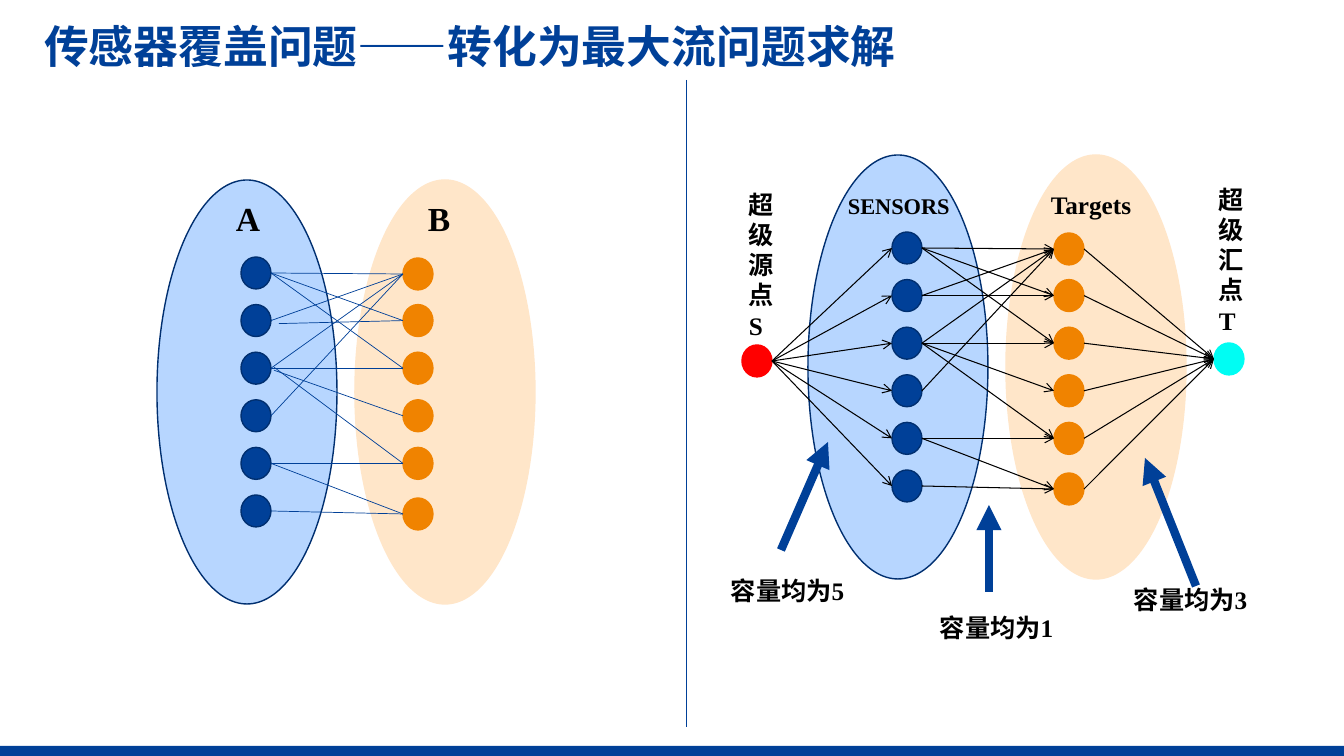
from lxml.etree import SubElement
from pptx import Presentation
from pptx.dml.color import RGBColor
from pptx.enum.shapes import MSO_CONNECTOR, MSO_SHAPE
from pptx.enum.text import MSO_ANCHOR, MSO_AUTO_SIZE, PP_ALIGN
from pptx.oxml.ns import qn
from pptx.util import Pt

PX = 914400 / 100.8
THEME = {
    "blue": "004098", "navy": "002F70", "pale_blue": "B7D6FF",
    "orange": "F08300", "pale_orange": "FFE6C9",
    "red": "FF0000", "cyan": "00FDF3", "black": "000000",
    "title_font": "Noto Sans CJK SC", "label_font": "Times New Roman",
    "title": 32, "set_name": 24, "label": 18, "sensors": 16,
}


def px(*lengths):
    return [round(length * PX) for length in lengths]


def color(name):
    return RGBColor.from_string(THEME[name])


presentation = Presentation()
presentation.slide_width, presentation.slide_height = px(1344, 756)
slide = presentation.slides.add_slide(presentation.slide_layouts[5])

title = slide.shapes.title
title.left, title.top, title.width, title.height = px(34, 17, 1269, 64)
title.text_frame.text = "传感器覆盖问题——转化为最大流问题求解"
title.text_frame.vertical_anchor = MSO_ANCHOR.MIDDLE
title.text_frame.auto_size = MSO_AUTO_SIZE.NONE
title_paragraph = title.text_frame.paragraphs[0]
title_paragraph.alignment = PP_ALIGN.LEFT
title_paragraph.line_spacing = 0.9
title_font = title_paragraph.runs[0].font
title_font.name, title_font.size, title_font.bold = THEME["title_font"], Pt(THEME["title"]), True
title_font.color.rgb = color("blue")

# Both diagrams share one layout, shifted by their origin
NODE_W, NODE_H, PITCH = 30, 32, 47.6
LEFT_GRAPH, RIGHT_GRAPH = (157, 180), (808, 155)
SENSOR_X, TARGET_X = 84, 246
sensor_tops = [77 + PITCH * row for row in range(6)]
target_tops = [top + shift for top, shift in zip(sensor_tops, (1, 0, 0, 0, 0, 3))]
EDGES = [(0, 0), (1, 0), (2, 0), (3, 0), (0, 1), (1, 1), (0, 2),
         (2, 2), (2, 3), (2, 4), (4, 4), (4, 5), (5, 5)]
LEFT_NUDGES = {(1, 1): (8, 3), (2, 3): (3, 2), (2, 4): (3, -1)}
SOURCE, SINK = (742, 345), (1214, 343)

# Shapes: kind, left, top, width, height, fill, outline
shapes = [(MSO_SHAPE.RECTANGLE, 0, 746, 1344, 10, "blue", "blue")]
# Lines: start x, start y, end x, end y, colour, points, arrowhead
lines = [(686, 80, 686, 727, "blue", 0.5, None)]

for x, y in (LEFT_GRAPH, RIGHT_GRAPH):
    shapes.append((MSO_SHAPE.OVAL, x + 198, y, 180, 424, "pale_orange", "pale_orange"))
    shapes.append((MSO_SHAPE.OVAL, x, y, 180, 424, "pale_blue", "navy"))
    for column_x, tops, fill, outline in ((SENSOR_X, sensor_tops, "blue", "navy"),
                                          (TARGET_X, target_tops, "orange", "orange")):
        for top in tops:
            shapes.append((MSO_SHAPE.OVAL, x + column_x, y + top, NODE_W, NODE_H, fill, outline))

    is_flow = (x, y) == RIGHT_GRAPH
    style = ("black", 0.75, "arrow") if is_flow else ("blue", 0.5, None)
    for sensor, target in EDGES:
        nudge_x, nudge_y = (0, 0) if is_flow else LEFT_NUDGES.get((sensor, target), (0, 0))
        lines.append((x + SENSOR_X + NODE_W + nudge_x,
                      y + sensor_tops[sensor] + NODE_H / 2 + nudge_y,
                      x + TARGET_X, y + target_tops[target] + NODE_H / 2, *style))

for (x, y), fill in ((SOURCE, "red"), (SINK, "cyan")):
    shapes.append((MSO_SHAPE.OVAL, x, y, NODE_W, NODE_H, fill, fill))
graph_x, graph_y = RIGHT_GRAPH
for sensor_top, target_top in zip(sensor_tops, target_tops):
    lines.append((SOURCE[0] + NODE_W, SOURCE[1] + NODE_H / 2,
                  graph_x + SENSOR_X, graph_y + sensor_top + NODE_H / 2, "black", 0.75, "arrow"))
    lines.append((graph_x + TARGET_X + NODE_W, graph_y + target_top + NODE_H / 2,
                  SINK[0], SINK[1] + NODE_H / 2, "black", 0.75, "arrow"))
for pointer in ((989, 592, 989, 505), (1196, 586, 1145, 458), (781, 550, 828, 442)):
    lines.append((*pointer, "blue", 6, "triangle"))

for kind, left, top, width, height, fill, outline in shapes:
    shape = slide.shapes.add_shape(kind, *px(left, top, width, height))
    shape.shadow.inherit = False
    shape.fill.solid()
    shape.fill.fore_color.rgb = color(fill)
    if kind == MSO_SHAPE.RECTANGLE:
        shape.line.fill.background()
    else:
        shape.line.color.rgb = color(outline)
        shape.line.width = Pt(1)

for start_x, start_y, end_x, end_y, line_color, points, head in lines:
    connector = slide.shapes.add_connector(MSO_CONNECTOR.STRAIGHT, *px(start_x, start_y, end_x, end_y))
    connector.line.color.rgb = color(line_color)
    connector.line.width = Pt(points)
    if head:
        SubElement(connector.line._get_or_add_ln(), qn("a:tailEnd"), type=head)
    SubElement(connector._element.spPr, qn("a:effectLst"))

labels = [
    ("A", 226, 193, 90, 50, "set_name"),
    ("B", 418, 193, 90, 50, "set_name"),
    ("SENSORS", 838, 187, 126, 37, "sensors"),
    ("Targets", 1041, 184, 122, 40, "label"),
    ("超级源点S", 739, 184, 48, 163, "label"),
    ("超级汇点T", 1209, 179, 55, 163, "label"),
    ("容量均为1", 930, 607, 145, 40, "label"),
    ("容量均为3", 1124, 579, 145, 40, "label"),
    ("容量均为5", 721, 570, 145, 40, "label"),
]
for text, left, top, width, height, size in labels:
    text_frame = slide.shapes.add_textbox(*px(left, top, width, height)).text_frame
    text_frame.word_wrap = True
    text_frame.auto_size = MSO_AUTO_SIZE.SHAPE_TO_FIT_TEXT
    text_frame.text = text
    font = text_frame.paragraphs[0].runs[0].font
    font.name, font.size, font.bold = THEME["label_font"], Pt(THEME[size]), True
    font.color.rgb = color("black")

for run in [paragraph.runs[0] for shape in slide.shapes if shape.has_text_frame
            for paragraph in shape.text_frame.paragraphs if paragraph.runs]:
    SubElement(run.font._element, qn("a:ea"), typeface=THEME["title_font"])

presentation.save("out.pptx")
